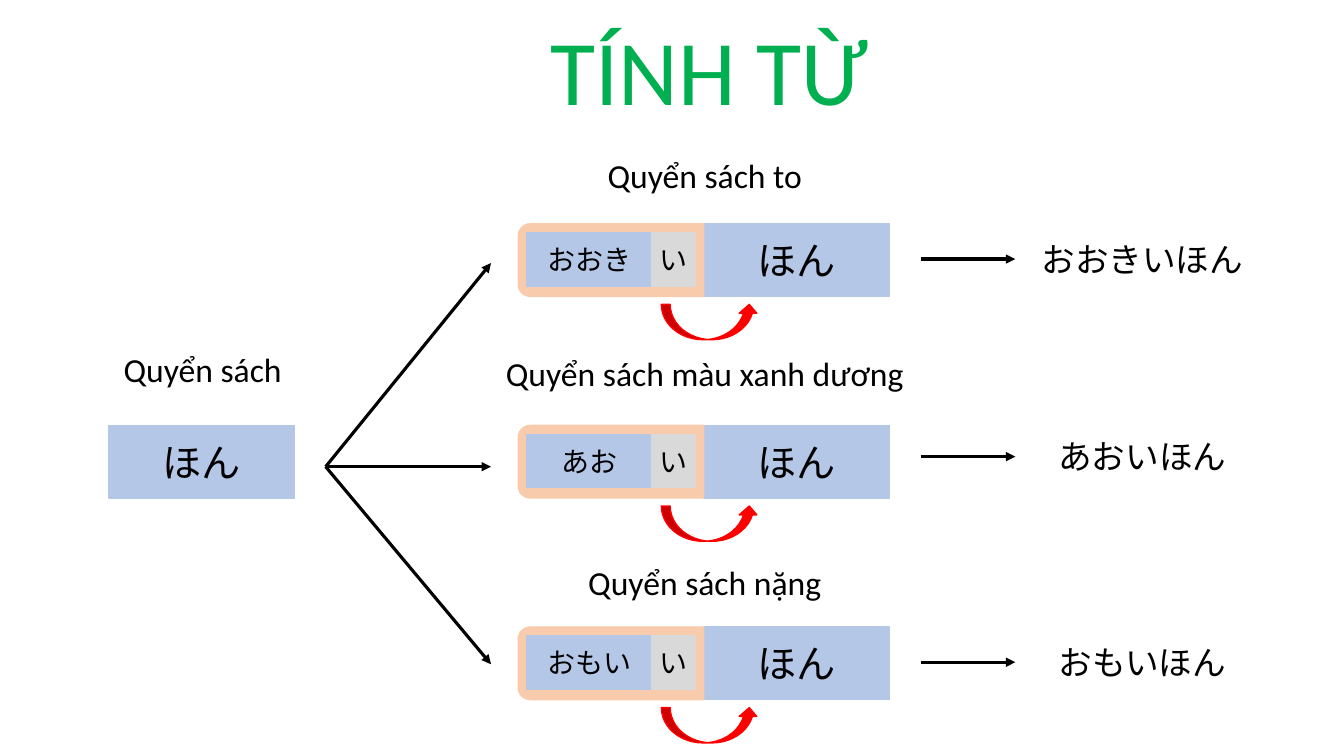
from pptx import Presentation
from pptx.dml.color import RGBColor
from pptx.enum.shapes import MSO_CONNECTOR, MSO_SHAPE
from pptx.enum.text import MSO_ANCHOR, PP_ALIGN
from pptx.oxml.ns import qn
from pptx.util import Inches, Pt
from lxml import etree

RECT = MSO_SHAPE.RECTANGLE
TAB = MSO_SHAPE.ROUND_2_SAME_RECTANGLE
CURVE = MSO_SHAPE.CURVED_UP_ARROW
LINE = MSO_CONNECTOR.STRAIGHT
MIDDLE = MSO_ANCHOR.MIDDLE
CENTER = PP_ALIGN.CENTER

FONT = "Calibri"
BLACK, GREEN, RED = "000000", "00B050", "FF0000"
BLUE, PEACH, GRAY = "B4C7E7", "F8CBAD", "D9D9D9"

TITLE = "TÍNH TỪ"
NOUN, NOTE = "ほん", "Quyển sách"
ENDING = "い"
ROWS = [
    {"note": "Quyển sách to", "note_y": 1.49, "stem": "おおき",
     "tip_y": 2.61, "phrase": "おおきいほん", "phrase_y": 2.32},
    {"note": "Quyển sách màu xanh dương", "note_y": 3.45, "stem": "あお",
     "tip_y": 4.63, "phrase": "あおいほん", "phrase_y": 4.28},
    {"note": "Quyển sách nặng", "note_y": 5.53, "stem": "おもい",
     "tip_y": 6.59, "phrase": "おもいほん", "phrase_y": 6.32},
]

TOP, STEP = 2.22, 2.0
WIDE, HIGH = 1.84, 0.72
LEFT = 5.14
RIGHT = LEFT + WIDE
FORK = (3.23, 4.63)

deck = Presentation()
deck.slide_width, deck.slide_height = Inches(13.33), Inches(7.5)
slide = deck.slides.add_slide(deck.slide_layouts[6])
shapes = slide.shapes


def color(value):
    return RGBColor.from_string(value)


def write(frame, text, size, tint=BLACK):
    frame.word_wrap = True
    para = frame.paragraphs[0]
    para.text = text
    para.alignment = CENTER
    para.font.name = FONT
    para.font.size = Pt(size)
    para.font.color.rgb = color(tint)
    return para


def label(x, y, w, h, text, size=24, tint=BLACK):
    box = shapes.add_textbox(Inches(x), Inches(y), Inches(w), Inches(h))
    return write(box.text_frame, text, size, tint)


def block(kind, x, y, w, h, fill, text="", size=28):
    shape = shapes.add_shape(kind, Inches(x), Inches(y), Inches(w), Inches(h))
    shape.shadow.inherit = False
    shape.fill.solid()
    shape.fill.fore_color.rgb = color(fill)
    shape.line.color.rgb = color(fill)
    shape.line.width = Pt(1)
    if text:
        frame = shape.text_frame
        frame.margin_left = frame.margin_right = 0
        frame.vertical_anchor = MIDDLE
        write(frame, text, size)
    return shape


def arrow(x1, y1, x2, y2):
    line = shapes.add_connector(LINE, Inches(x1), Inches(y1), Inches(x2), Inches(y2))
    line.line.color.rgb = color(BLACK)
    line.line.width = Pt(2.25)
    etree.SubElement(line.line._get_or_add_ln(), qn("a:tailEnd"), type="triangle")
    etree.SubElement(line._element.spPr, qn("a:effectLst"))


title = label(2.04, 0.21, 10, 1.25, TITLE, 66, GREEN)
title.line_spacing = 0.9
label(0.36, 3.41, 3.3, 0.5, NOTE)
block(RECT, 1.08, TOP + STEP, WIDE, HIGH, BLUE, NOUN)

for i, row in enumerate(ROWS):
    y = TOP + i * STEP
    label(4.82, row["note_y"], 4.34, 0.5, row["note"])
    block(RECT, RIGHT, y, WIDE, HIGH, BLUE, NOUN)
    shift = (WIDE - HIGH) / 2
    case = block(TAB, LEFT + shift, y - shift, HIGH, WIDE, PEACH)
    case.rotation = 270
    block(RECT, 5.22, y + 0.09, 1.25, 0.53, BLUE, row["stem"], 20)
    block(RECT, 6.46, y + 0.09, 0.44, 0.53, GRAY, ENDING, 20)
    block(CURVE, 6.56, y + 0.8, 0.96, 0.35, RED)
    arrow(*FORK, 4.87, row["tip_y"])
    arrow(9.13, row["phrase_y"] + 0.25, 10.07, row["phrase_y"] + 0.25)
    label(9.68, row["phrase_y"], 3.3, 0.5, row["phrase"])

deck.save("out.pptx")
